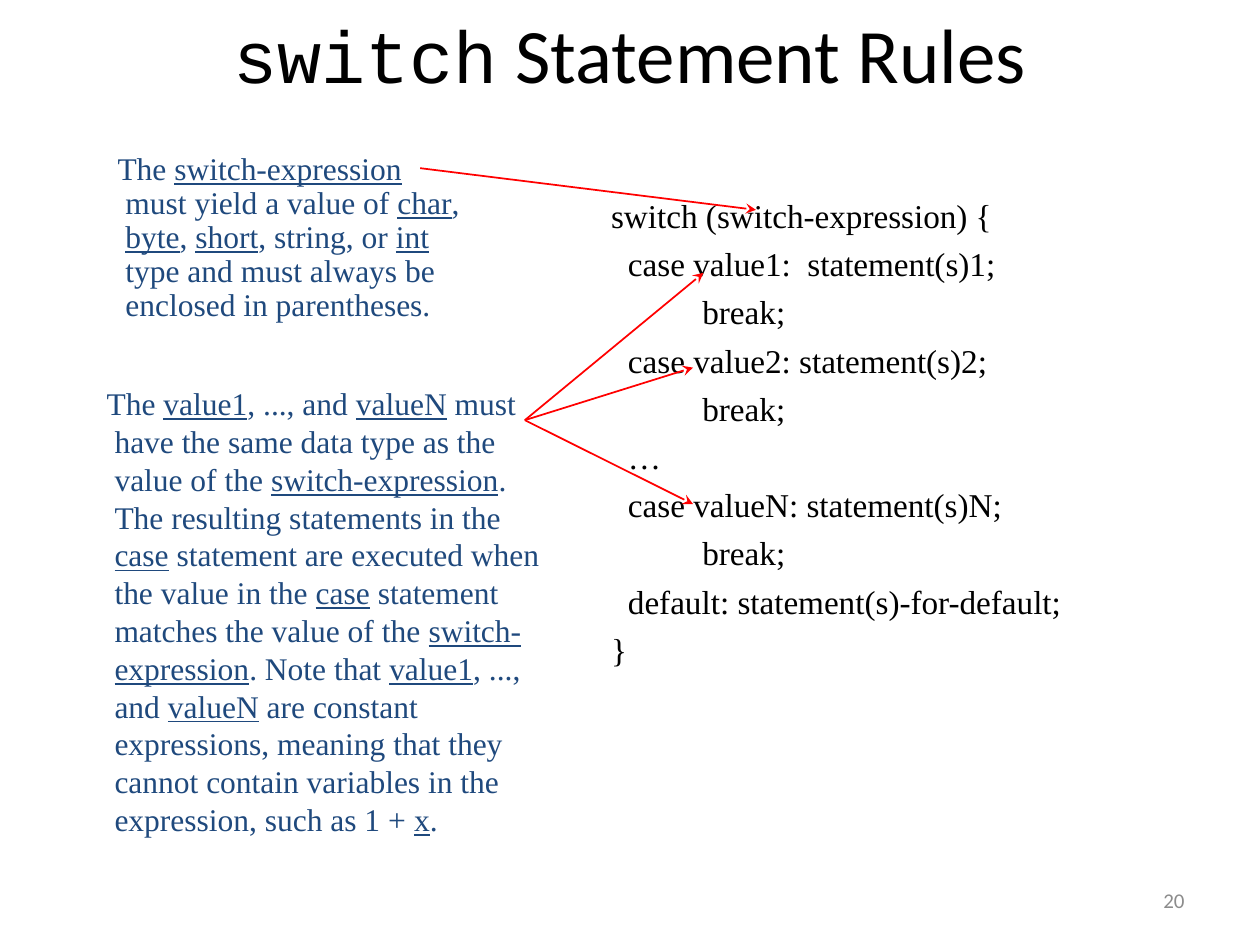
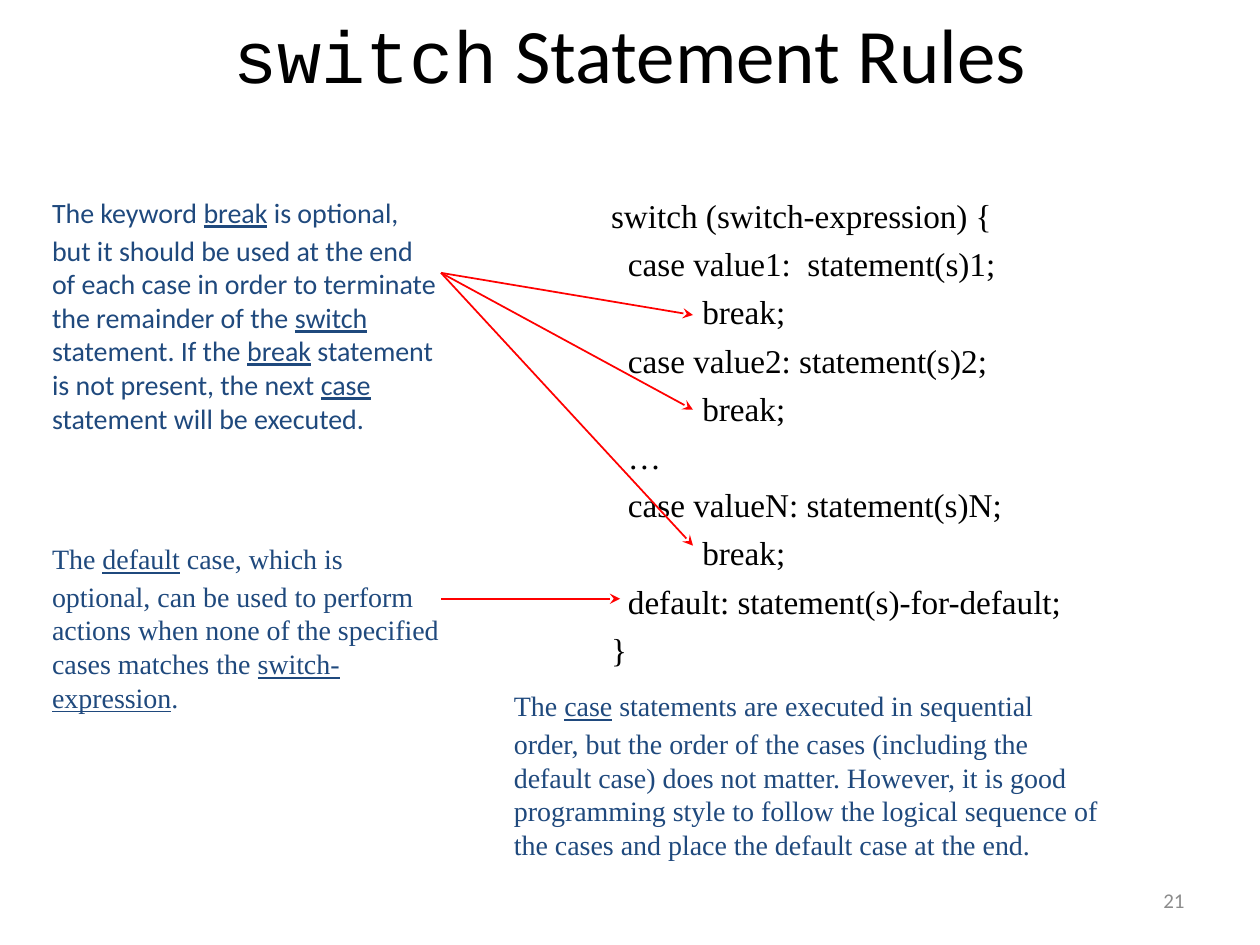
"""Build two slides that explain the rules of the switch statement."""
from dataclasses import dataclass

from lxml import etree
from pptx import Presentation
from pptx import util as u
from pptx.dml.color import RGBColor
from pptx.enum import shapes, text
from pptx.oxml import ns


@dataclass(frozen=True)
class Theme:
    ink: RGBColor = RGBColor(0, 0, 0)
    note: RGBColor = RGBColor(0x1F, 0x49, 0x7D)
    arrow: RGBColor = RGBColor(0xFF, 0, 0)
    muted: RGBColor = RGBColor(0x8C, 0x8C, 0x8C)
    sans: str = "Calibri"
    serif: str = "Times New Roman"
    keyword: str = "Courier New"
    mono: str = "Noto Sans Mono"
    title_size: float = 44
    keyword_size: float = 42
    code_size: float = 19
    lead_size: float = 28
    number_size: float = 12
    code_gap: float = 4.75


THEME = Theme()
FIRST_NUMBER = 20
TITLE = (("switch", THEME.keyword, THEME.keyword_size),
         (" Statement Rules", THEME.sans, THEME.title_size))
TITLE_BOX = (1.9, 0, 21.6, 2.12)
NUMBER_BOX = (18.2, 17.65, 5.93, 1.01)
CODE_BOX = (12.07, 3.81, 10.16, 10.58)
INDENTS = (0, 0.34, 1.84)
HANGING = 0.16
CODE = (
    (0, "switch (switch-expression) {"),
    (1, "case value1:  statement(s)1;"),
    (2, "break;"),
    (1, "case value2: statement(s)2;"),
    (2, "break;"),
    (1, "…"),
    (1, "case valueN: statement(s)N;"),
    (2, "break;"),
    (1, "default: statement(s)-for-default;"),
    (0, "}"),
)

SLIDES = (
    (
        dict(box=(2.12, 2.96, 7.62, 3.6), size=18, font=THEME.serif, spacing=0.9,
             text="The _switch-expression_ must yield a value of _char_, _byte_, _short_, "
                  "string, or _int_ type and must always be enclosed in parentheses.",
             start=(8.47, 3.39), ends=((15.24, 4.23),)),
        dict(box=(1.9, 7.62, 9.53, 9.53), size=18, font=THEME.serif,
             text="The _value1_, ..., and _valueN_ must have the same data type as the value "
                  "of the _switch-expression_. The resulting statements in the _case_ "
                  "statement are executed when the value in the _case_ statement matches "
                  "the value of the _switch-expression_. Note that _value1_, ..., and "
                  "_valueN_ are constant expressions, meaning that they cannot contain "
                  "variables in the expression, such as 1 + _x_.",
             start=(10.58, 8.47), ends=((14.18, 5.5), (13.97, 7.41), (13.97, 10.16))),
    ),
    (
        dict(box=(0.64, 3.39, 8.47, 5.72), size=16, font=THEME.sans, lead=THEME.mono,
             text="The keyword _break_ is optional, but it should be used at the end of each "
                  "case in order to terminate the remainder of the _switch_ statement. If "
                  "the _break_ statement is not present, the next _case_ statement will be "
                  "executed.",
             start=(8.89, 5.5), ends=((13.97, 6.35), (13.97, 8.26), (13.97, 11))),
        dict(box=(0.64, 10.37, 8.47, 4.23), size=16, font=THEME.serif, lead=THEME.mono,
             text="The _default_ case, which is optional, can be used to perform actions "
                  "when none of the specified cases matches the _switch-expression_.",
             start=(8.89, 12.07), ends=((12.5, 12.07),)),
        dict(box=(9.95, 13.34, 12.49, 4.23), size=16, font=THEME.serif, lead=THEME.serif,
             text="The _case_ statements are executed in sequential order, but the order of "
                  "the cases (including the default case) does not matter. However, it is "
                  "good programming style to follow the logical sequence of the cases and "
                  "place the default case at the end."),
    ),
)


def style(font, name, size, color):
    font.name, font.size = name, u.Pt(size)
    font.color.rgb = color


def indent(paragraph, left, first=0):
    properties = paragraph._p.get_or_add_pPr()
    properties.set("marL", str(u.Cm(left)))
    properties.set("indent", str(u.Cm(first)))


def add_text_frame(slide, box):
    frame = slide.shapes.add_textbox(*map(u.Cm, box)).text_frame
    frame.word_wrap = True
    return frame


def set_title(slide):
    title = slide.shapes.title
    title.left, title.top, title.width, title.height = map(u.Cm, TITLE_BOX)
    frame = title.text_frame
    frame.auto_size = text.MSO_AUTO_SIZE.NONE
    frame.vertical_anchor = text.MSO_ANCHOR.MIDDLE
    paragraph = frame.paragraphs[0]
    paragraph.alignment = text.PP_ALIGN.CENTER
    for words, font, size in TITLE:
        run = paragraph.add_run()
        run.text = words
        style(run.font, font, size, THEME.ink)


def add_number(slide, number):
    frame = add_text_frame(slide, NUMBER_BOX)
    frame.vertical_anchor = text.MSO_ANCHOR.MIDDLE
    paragraph = frame.paragraphs[0]
    paragraph.alignment = text.PP_ALIGN.RIGHT
    run = paragraph.add_run()
    run.text = str(number)
    style(run.font, THEME.sans, THEME.number_size, THEME.muted)
    field = etree.SubElement(paragraph._p, ns.qn("a:fld"), type="slidenum",
                             id="{B6F15528-21DE-4FAA-801E-634DDDAF4B2B}")
    field.extend(list(run._r))
    paragraph._p.remove(run._r)


def add_code(slide):
    frame = add_text_frame(slide, CODE_BOX)
    for index, (level, line) in enumerate(CODE):
        paragraph = frame.add_paragraph() if index else frame.paragraphs[0]
        paragraph.text = line
        paragraph.space_before = u.Pt(THEME.code_gap)
        indent(paragraph, INDENTS[level])
        style(paragraph.font, THEME.serif, THEME.code_size, THEME.ink)


def add_note(slide, note):
    paragraph = add_text_frame(slide, note["box"]).paragraphs[0]
    paragraph.line_spacing = note.get("spacing")
    indent(paragraph, HANGING, -HANGING)
    if "lead" in note:
        run = paragraph.add_run()
        run.text = "\t"
        style(run.font, note["lead"], THEME.lead_size, THEME.note)
    for index, words in enumerate(note["text"].split("_")):
        run = paragraph.add_run()
        run.text = words
        style(run.font, note["font"], note["size"], THEME.note)
        run.font.underline = index % 2 == 1
    for end in note.get("ends", ()):
        add_arrow(slide, note["start"], end)


def add_arrow(slide, start, end):
    arrow = slide.shapes.add_connector(
        shapes.MSO_CONNECTOR.STRAIGHT, *map(u.Cm, start + end))
    arrow.line.color.rgb = THEME.arrow
    arrow.line.width = u.Pt(1)
    etree.SubElement(arrow.line._get_or_add_ln(), ns.qn("a:tailEnd"), type="stealth")
    etree.SubElement(arrow._element.spPr, ns.qn("a:effectLst"))


def main():
    presentation = Presentation()
    presentation.slide_width, presentation.slide_height = u.Cm(25.4), u.Cm(19.05)
    presentation.element.set("firstSlideNum", str(FIRST_NUMBER))
    for number, notes in enumerate(SLIDES, FIRST_NUMBER):
        slide = presentation.slides.add_slide(presentation.slide_layouts[5])
        set_title(slide)
        add_number(slide, number)
        add_code(slide)
        for note in notes:
            add_note(slide, note)
    presentation.save("out.pptx")


main()
